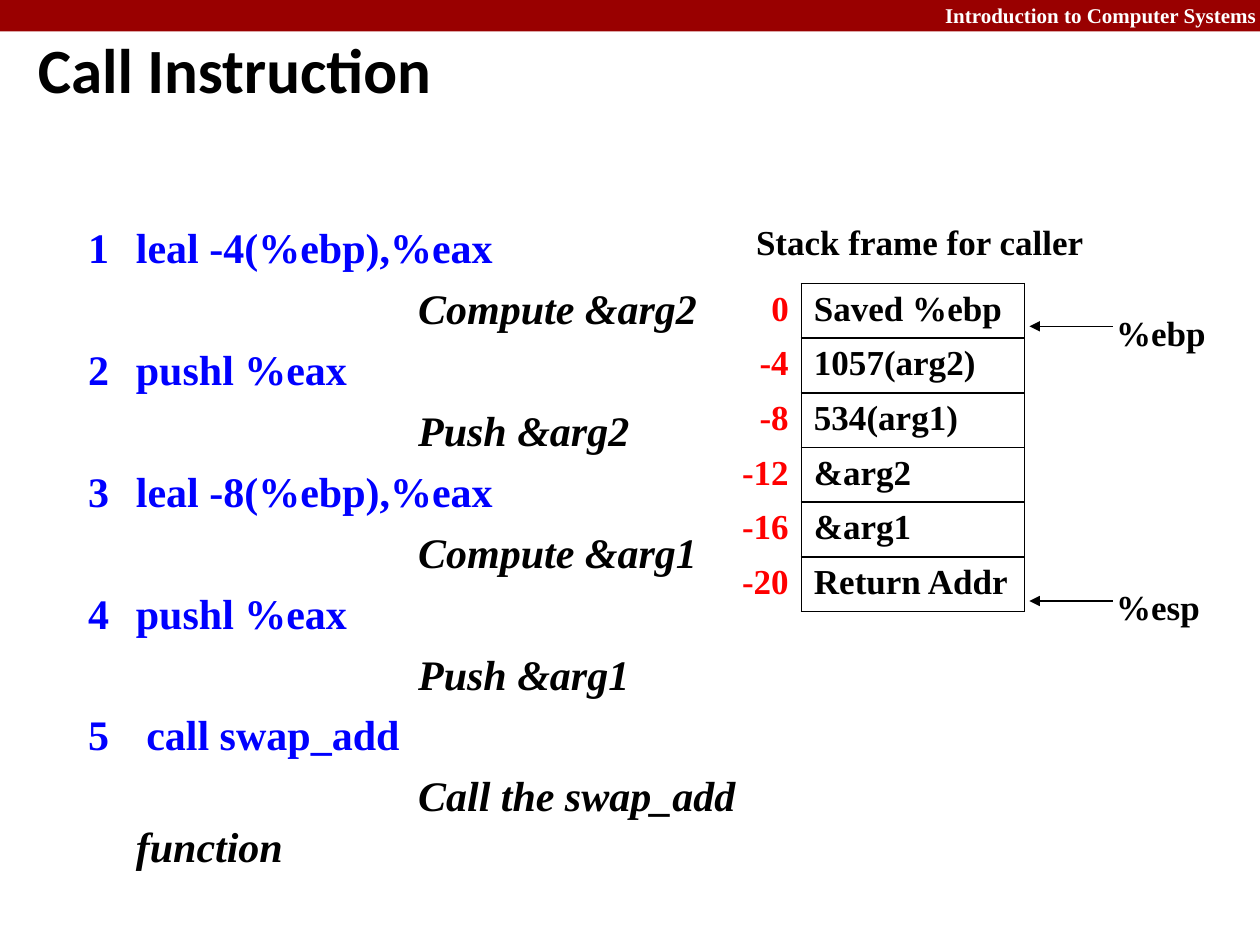
import pptx
import pptx.util
import pptx.dml.color
import pptx.enum.shapes
import pptx.enum.text
import pptx.oxml
import pptx.oxml.ns
import lxml.etree

Inches = pptx.util.Inches
Pt = pptx.util.Pt
RGBColor = pptx.dml.color.RGBColor
Align = pptx.enum.text.PP_ALIGN
Anchor = pptx.enum.text.MSO_ANCHOR
qn = pptx.oxml.ns.qn

BLACK = RGBColor(0x00, 0x00, 0x00)
WHITE = RGBColor(0xFF, 0xFF, 0xFF)
MAROON = RGBColor(0x99, 0x00, 0x00)
RED = RGBColor(0xFF, 0x00, 0x00)
BLUE = RGBColor(0x00, 0x00, 0xFF)
SERIF = "Times New Roman"

STACK = [
    ("0", "Saved %ebp"),
    ("-4", "1057(arg2)"),
    ("-8", "534(arg1)"),
    ("-12", "&arg2"),
    ("-16", "&arg1"),
    ("-20", "Return Addr"),
]
STEPS = [
    ("leal -4(%ebp),%eax", "Compute &arg2"),
    ("pushl %eax", "Push &arg2"),
    ("leal -8(%ebp),%eax", "Compute &arg1"),
    ("pushl %eax", "Push &arg1"),
    (" call swap_add", "Call the swap_add function"),
]


def write(para, text, size=20, color=BLACK, face=SERIF, italic=False,
          align=Align.LEFT, before=0, left=0, first=0):
    props = para._p.get_or_add_pPr()
    props.set("marL", str(Inches(left)))
    props.set("indent", str(Inches(first)))
    para.alignment = align
    para.space_before = Pt(before)
    run = para.add_run()
    run.text = text
    font = run.font
    font.name = face
    font.size = Pt(size)
    font.bold = True
    font.italic = italic
    font.color.rgb = color


def add_box(slide, x, y, w, h):
    frame = slide.shapes.add_textbox(
        Inches(x), Inches(y), Inches(w), Inches(h)).text_frame
    frame.word_wrap = True
    return frame


def add_label(slide, text, x, y, w, h, **style):
    write(add_box(slide, x, y, w, h).paragraphs[0], text, **style)


def add_bar(slide):
    bar = slide.shapes.add_shape(
        pptx.enum.shapes.MSO_SHAPE.RECTANGLE, 0, 0, Inches(10), Inches(0.25))
    bar.shadow.inherit = False
    bar.fill.solid()
    bar.fill.fore_color.rgb = MAROON
    bar.line.fill.background()


def set_title(slide, text):
    title = slide.shapes.title
    title.left, title.top = Inches(0.2), Inches(0.17)
    title.width, title.height = Inches(9.25), Inches(0.75)
    title.text_frame.vertical_anchor = Anchor.MIDDLE
    write(title.text_frame.paragraphs[0], text, size=36, face="Calibri")


def add_code(slide):
    frame = add_box(slide, 0.6, 1.71, 6.28, 4.87)
    for num, (code, note) in enumerate(STEPS, 1):
        para = frame.paragraphs[0] if num == 1 else frame.add_paragraph()
        write(para, f"{num}\t{code}", size=24, color=BLUE,
              before=0 if num == 1 else 6, left=0.38, first=-0.38)
        write(frame.add_paragraph(), note, size=24, italic=True,
              before=6, left=0.38, first=2.24)


def add_edges(cell, sides):
    props = cell._tc.get_or_add_tcPr()
    for side in sides:
        edge = lxml.etree.SubElement(props, qn(f"a:ln{side}"), w=str(Pt(1)))
        fill = lxml.etree.SubElement(edge, qn("a:solidFill"))
        lxml.etree.SubElement(fill, qn("a:srgbClr"), val=str(BLACK))


def add_stack(slide):
    high = 0.43
    table = slide.shapes.add_table(
        len(STACK), 2, Inches(5.75), Inches(2.25),
        Inches(2.38), Inches(high * len(STACK))).table
    table.first_row = False
    table.horz_banding = False
    table.columns[0].width = Inches(0.61)
    table.columns[1].width = Inches(1.77)
    looks = [("R", RED, Align.RIGHT), ("LRTB", BLACK, Align.LEFT)]
    for row, words in enumerate(STACK):
        table.rows[row].height = Inches(high)
        for col, (sides, color, align) in enumerate(looks):
            cell = table.cell(row, col)
            add_edges(cell, sides)
            cell.fill.background()
            write(cell.text_frame.paragraphs[0], words[col],
                  color=color, align=align)


def add_arrow(slide, y):
    arrow = slide.shapes.add_connector(
        pptx.enum.shapes.MSO_CONNECTOR.STRAIGHT,
        Inches(8.83), Inches(y), Inches(8.17), Inches(y))
    arrow.line.color.rgb = BLACK
    arrow.line.width = Pt(0.75)
    lxml.etree.SubElement(
        arrow.line._get_or_add_ln(), qn("a:tailEnd"), type="triangle")
    lxml.etree.SubElement(arrow._element.spPr, qn("a:effectLst"))


def main():
    deck = pptx.Presentation()
    deck.slide_width, deck.slide_height = Inches(10), Inches(7.5)
    slide = deck.slides.add_slide(deck.slide_layouts[5])
    add_bar(slide)
    add_label(slide, "Introduction to Computer Systems", 6, -0.03, 4.07, 0.3,
              size=12, color=WHITE, align=Align.RIGHT)
    set_title(slide, "Call Instruction")
    add_stack(slide)
    add_label(slide, "Stack frame for caller", 5.83, 1.7, 2.94, 0.43,
              align=Align.CENTER)
    add_code(slide)
    for name, y in [("%ebp", 2.59), ("%esp", 4.77)]:
        add_label(slide, name, 8.76, y - 0.17, 0.91, 0.43)
        add_arrow(slide, y)
    deck.save("out.pptx")


if __name__ == "__main__":
    main()
